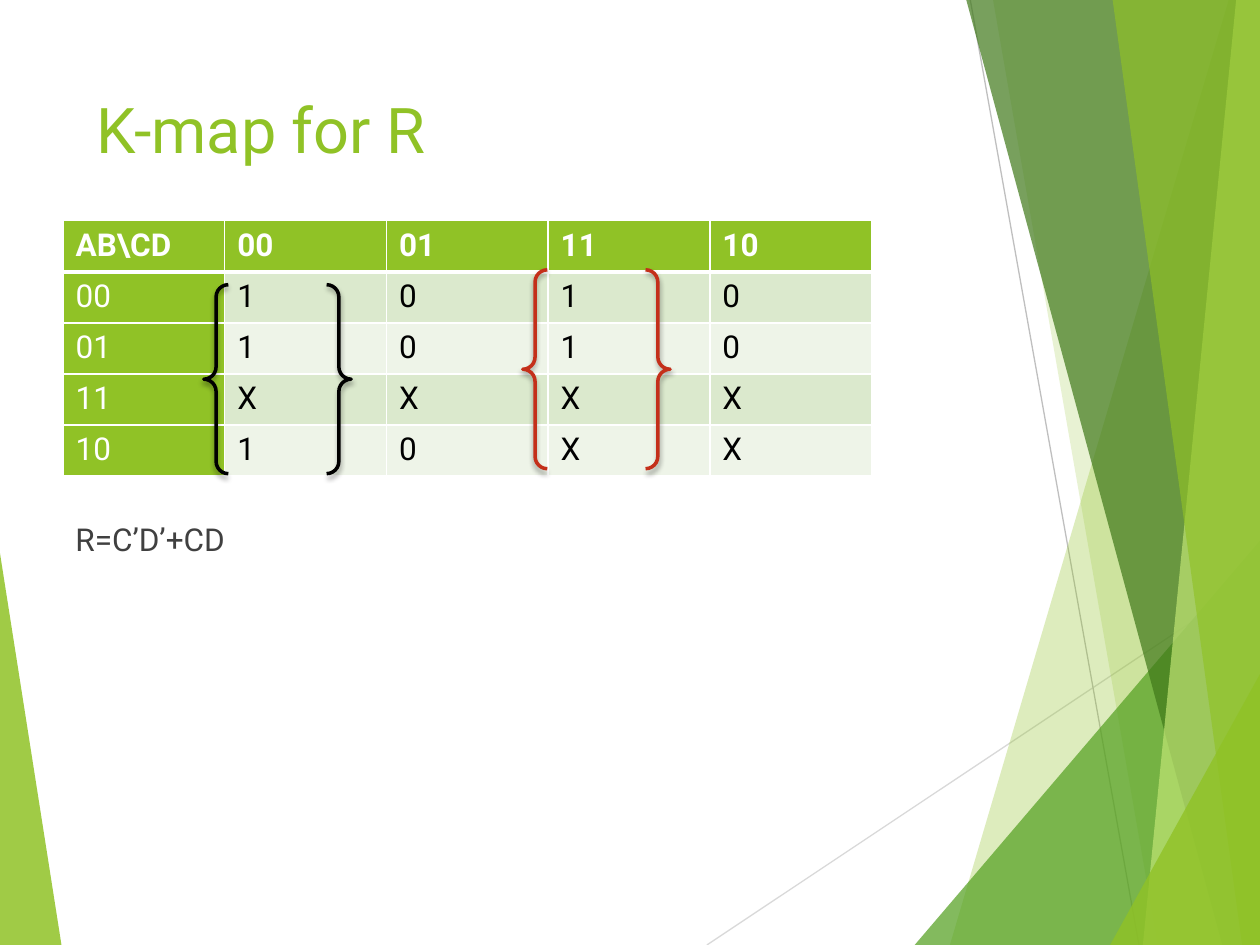
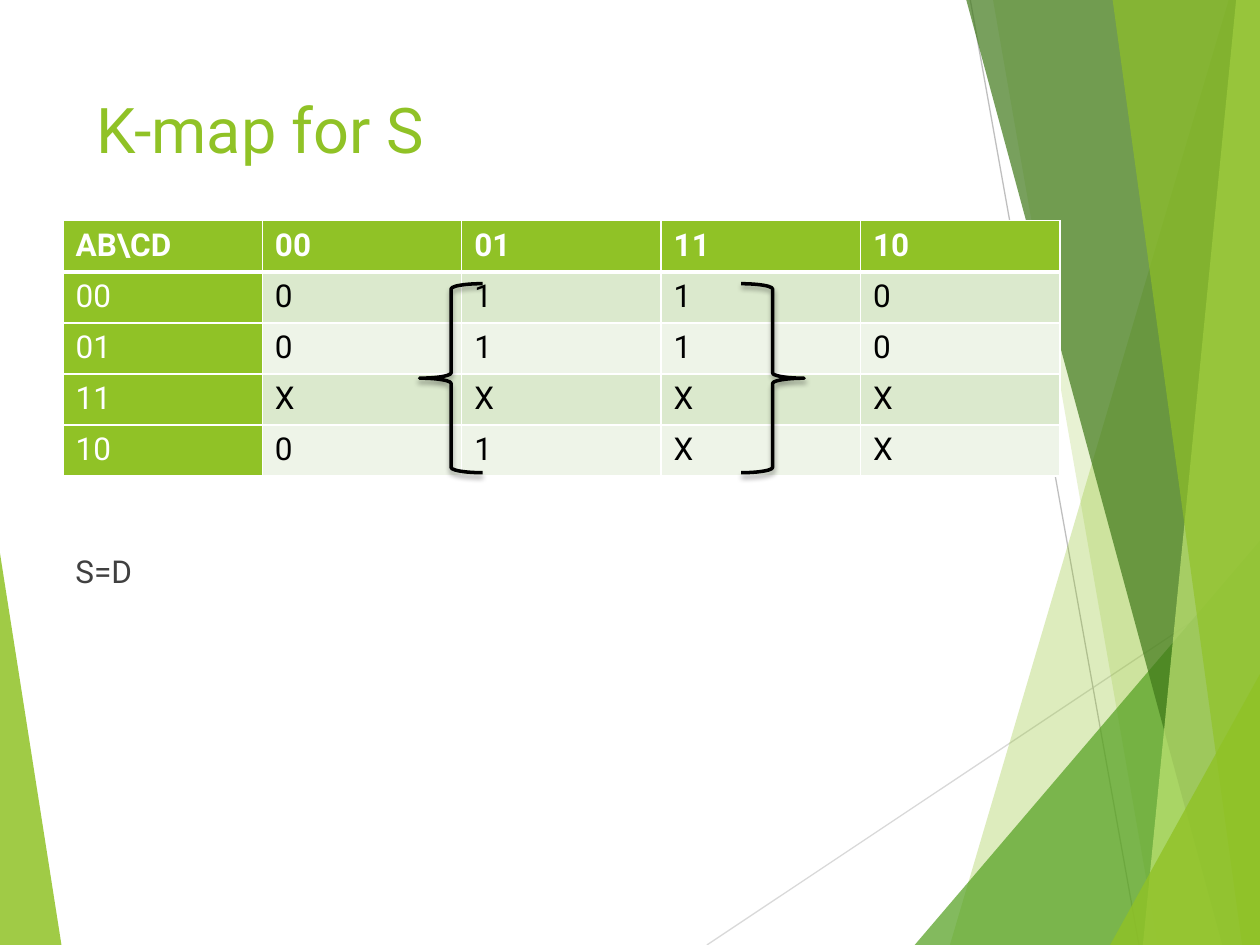
import pptx
import pptx.dml.color
import pptx.enum.shapes
import pptx.oxml.ns
import pptx.util
from lxml import etree

Cm = pptx.util.Cm
Pt = pptx.util.Pt
SHAPES = pptx.enum.shapes.MSO_SHAPE

# Shared look, lengths in centimetres
WIDTH, HEIGHT = 25.4, 19.05
FONT = "Roboto"
GREEN, WHITE, BLACK, RED, GREY = "90C226", "FFFFFF", "000000", "C42F1A", "404040"
ROW_FILLS = ["DBE9CD", "EEF4E8"]
TITLE_BOX = (1.7, 1.7, 17.63, 3.66)
TABLE_LEFT, TABLE_TOP, ROW_HEIGHT = 1.27, 4.45, 1.03
HANGING_INDENT = 0.97

# Decoration: corners, colour, opacity in percent
LEFT_WEDGE = ([(0, 11.15), (1.24, HEIGHT), (0, HEIGHT)], GREEN, 85)
RAYS = [
    ((14.25, HEIGHT), (WIDTH, 11.62), "D9D9D9"),
    ((19.56, 0), (22.96, HEIGHT), "BFBFBF"),
]


def beam(top_x, bottom_x):
    """Corners of a band from top to bottom, reaching the right edge."""
    return [(top_x, 0), (bottom_x, HEIGHT), (WIDTH, HEIGHT), (WIDTH, 0)]


def corner(bottom_x, right_y):
    """Corners of a triangle in the lower right."""
    return [(bottom_x, HEIGHT), (WIDTH, right_y), (WIDTH, HEIGHT)]


BEAMS = [
    (beam(24.77, 19.15), GREEN, 30),
    (beam(20.02, 23.34), GREEN, 20),
    (corner(18.44, 10.9), "54A021", 72),
    (beam(19.48, 24.64), "3F7819", 70),
    (beam(24.92, 23.04), "C0E474", 70),
    (beam(22.43, 25.04), GREEN, 65),
    (corner(22.38, 13.59), GREEN, 80),
]

# Content of the maps
GRAY_CODE = ["00", "01", "11", "10"]
MAPS = [
    {
        "title": "K-map for R",
        "rows": ["1010", "1010", "XXXX", "10XX"],
        "column_width": 3.26,
        "result": "R=C’D’+CD",
        "result_box": (1.27, 10.36, 9.78, 1.47),
        "braces": [
            (SHAPES.DOUBLE_BRACE, (4.11, 5.74, 2.97, 3.81), BLACK),
            (SHAPES.DOUBLE_BRACE, (10.54, 5.44, 2.97, 4.01), RED),
        ],
    },
    {
        "title": "K-map for S",
        "rows": ["0110", "0110", "XXXX", "01XX"],
        "column_width": 4.02,
        "result": "S=D",
        "result_box": (1.27, 11, 9.78, 3.25),
        "braces": [
            (SHAPES.LEFT_BRACE, (8.46, 5.72, 1.27, 3.81), BLACK),
            (SHAPES.RIGHT_BRACE, (14.94, 5.72, 1.27, 3.81), BLACK),
        ],
    },
]


def color(value):
    return pptx.dml.color.RGBColor.from_string(value)


def add_xml(parent, tag, **attributes):
    element = etree.SubElement(parent, pptx.oxml.ns.qn(tag))
    for name, value in attributes.items():
        element.set(name, str(value))
    return element


def write(text_frame, text, text_color, size=18, bold=False):
    paragraph = text_frame.paragraphs[0]
    run = paragraph.add_run()
    run.text = text
    formats = {"name": FONT, "size": Pt(size), "bold": bold}
    for name, value in formats.items():
        setattr(run.font, name, value)
    run.font.color.rgb = color(text_color)
    return paragraph


def add_text(slide, box, text, text_color, size=18):
    text_box = slide.shapes.add_textbox(*map(Cm, box))
    text_box.text_frame.word_wrap = True
    return write(text_box.text_frame, text, text_color, size)


def add_polygon(slide, corners, fill, opacity):
    points = [(Cm(x), Cm(y)) for x, y in corners]
    builder = slide.shapes.build_freeform(*points[0], scale=1.0)
    builder.add_line_segments(points[1:], close=True)
    shape = builder.convert_to_shape()
    shape.shadow.inherit = False
    shape.line.fill.background()
    shape.fill.solid()
    shape.fill.fore_color.rgb = color(fill)
    fill_color = shape.fill._xPr.find(".//" + pptx.oxml.ns.qn("a:srgbClr"))
    add_xml(fill_color, "a:alpha", val=opacity * 1000)


def add_ray(slide, start, end, line_color):
    connector = slide.shapes.add_connector(
        pptx.enum.shapes.MSO_CONNECTOR.STRAIGHT, *map(Cm, start + end))
    connector.line.width = Pt(0.75)
    connector.line.color.rgb = color(line_color)
    add_xml(connector._element.spPr, "a:effectLst")


def add_decoration(slide):
    add_polygon(slide, *LEFT_WEDGE)
    for ray in RAYS:
        add_ray(slide, *ray)
    for band in BEAMS:
        add_polygon(slide, *band)


def style_cell(cell, row, fill):
    # Borders come before the fill; a thick rule parts header and body
    widths = {"L": 1, "R": 1, "T": 3 if row == 1 else 1, "B": 3 if row == 0 else 1}
    properties = cell._tc.get_or_add_tcPr()
    for side, width in widths.items():
        border = add_xml(properties, "a:ln" + side, w=Pt(width))
        add_xml(add_xml(border, "a:solidFill"), "a:srgbClr", val=WHITE)
    cell.fill.solid()
    cell.fill.fore_color.rgb = color(fill)


def add_map_table(slide, rows, column_width):
    grid = [["AB\\CD"] + GRAY_CODE]
    grid += [[code] + list(values) for code, values in zip(GRAY_CODE, rows)]
    count = len(grid)
    table = slide.shapes.add_table(
        count, count, Cm(TABLE_LEFT), Cm(TABLE_TOP),
        Cm(column_width * count), Cm(ROW_HEIGHT * count)).table
    for column in table.columns:
        column.width = Cm(column_width)
    for row, texts in enumerate(grid):
        table.rows[row].height = Cm(ROW_HEIGHT)
        for column, text in enumerate(texts):
            cell = table.cell(row, column)
            heading = row == 0 or column == 0
            style_cell(cell, row, GREEN if heading else ROW_FILLS[(row - 1) % 2])
            write(cell.text_frame, text, WHITE if heading else BLACK, bold=row == 0)


def add_brace(slide, kind, box, line_color):
    shape = slide.shapes.add_shape(kind, *map(Cm, box))
    shape.fill.background()
    shape.line.width = Pt(2)
    shape.line.color.rgb = color(line_color)
    shape.shadow.inherit = False
    effects = shape._element.spPr.find(pptx.oxml.ns.qn("a:effectLst"))
    shadow = add_xml(effects, "a:outerShdw", blurRad=Pt(3), dist=Pt(2),
                     dir=90 * 60000, rotWithShape=0)
    add_xml(add_xml(shadow, "a:srgbClr", val=BLACK), "a:alpha", val=35000)


presentation = pptx.Presentation()
presentation.slide_width = Cm(WIDTH)
presentation.slide_height = Cm(HEIGHT)

for content in MAPS:
    slide = presentation.slides.add_slide(presentation.slide_layouts[6])
    add_decoration(slide)
    add_text(slide, TITLE_BOX, content["title"], GREEN, 36)
    add_map_table(slide, content["rows"], content["column_width"])
    result = add_text(slide, content["result_box"], content["result"], GREY)
    result.space_before = Pt(10)
    indents = {"marL": Cm(HANGING_INDENT), "indent": -Cm(HANGING_INDENT)}
    for name, value in indents.items():
        result._p.get_or_add_pPr().set(name, str(value))
    for brace in content["braces"]:
        add_brace(slide, *brace)

presentation.save("out.pptx")
